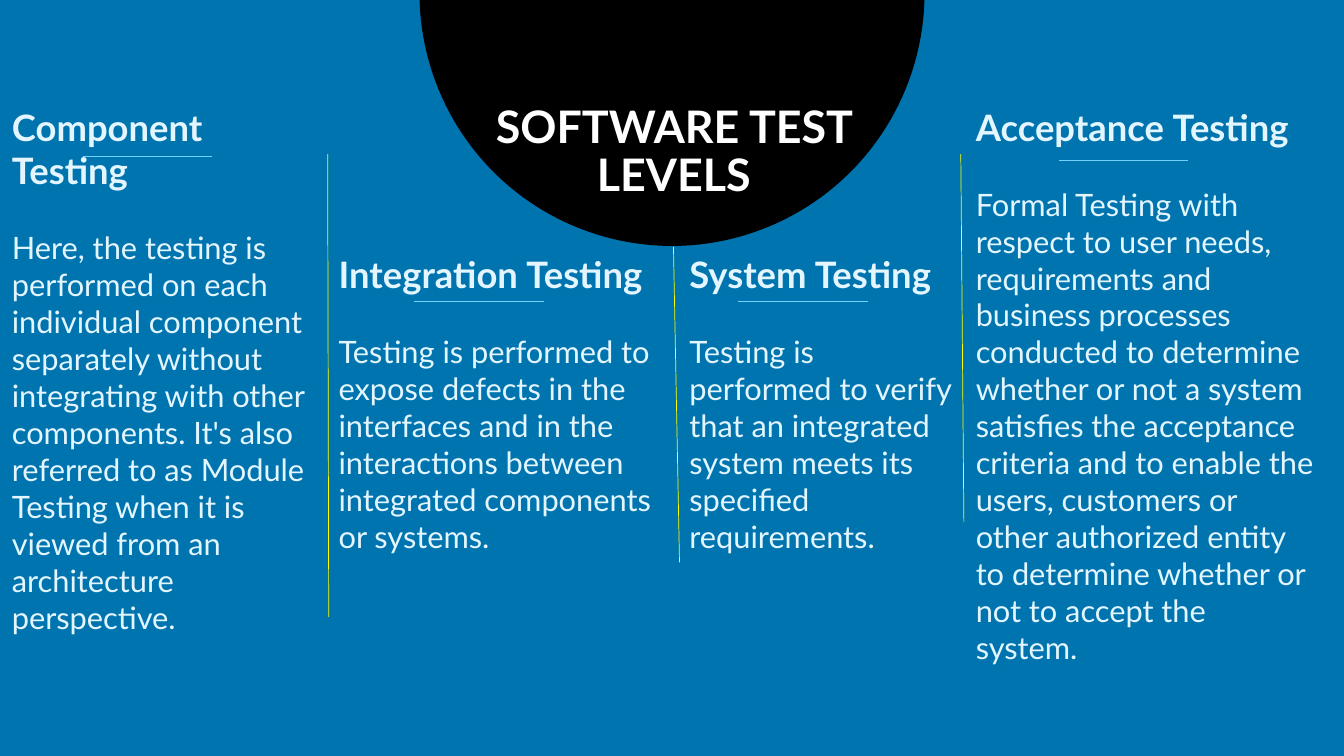
"""Build the slide on the four levels of software testing."""
from math import cos, pi, sin
from pptx import Presentation
from pptx import util as u
from pptx.dml import color
from pptx.enum import shapes, text
from pptx.oxml import ns, xmlchemy

deck = Presentation()
deck.slide_width, deck.slide_height = u.Inches(13.333), u.Inches(7.5)
page = deck.slides.add_slide(deck.slide_layouts[5])
PALE, SKY, GOLD = "E3F6FF", "75D1FF", "FFFF00"


def paint(fill, code):
    fill.solid()
    fill.fore_color.rgb = color.RGBColor.from_string(code)


def place(*spots):
    sides = deck.slide_width, deck.slide_height
    return [round(spot * sides[i % 2] / 100) for i, spot in enumerate(spots)]


paint(page.background.fill, "0074AF")

arc = [place(50 + 18.79 * cos(pi * i / 90), -0.93 + 33.47 * sin(pi * i / 90))
       for i in range(91)]
pen = page.shapes.build_freeform(*arc[0], scale=1)
pen.add_line_segments(arc[1:], close=True)
disc = pen.convert_to_shape()
disc.shadow.inherit = False
paint(disc.fill, "000000")
disc.line.fill.background()

title = page.shapes.title
disc._element.addnext(title._element)
title.left, title.top, title.width, title.height = place(32.18, 13.2, 35.93, 14.27)
frame = title.text_frame
form = {"word_wrap": True, "auto_size": text.MSO_AUTO_SIZE.NONE,
        "vertical_anchor": text.MSO_ANCHOR.TOP}
for key, value in form.items():
    setattr(frame, key, value)
para = frame.paragraphs[0]
form = {"text": "SOFTWARE TEST LEVELS", "alignment": text.PP_ALIGN.CENTER,
        "line_spacing": 0.9, "space_before": u.Pt(10)}
for key, value in form.items():
    setattr(para, key, value)
font = para.runs[0].font
for key, value in {"name": "Lato", "size": u.Pt(32), "bold": True}.items():
    setattr(font, key, value)
paint(font.fill, "FFFFFF")

levels = [
    ("Component", (0.15, 13.2, 24.38, 66.4), (6.15, 20.67),
     "Here, the testing is performed on each individual component separately "
     "without integrating with other components. It's also referred to as "
     "Module Testing when it is viewed from an architecture perspective."),
    ("Integration", (24.46, 32.67, 25.5, 41.73), (30.83, 39.87),
     "Testing is performed to expose defects in the interfaces and in the "
     "interactions between integrated components or systems."),
    ("System", (50.56, 32.67, 21.45, 36.8), (54.91, 39.87),
     "Testing is performed to verify that an integrated system meets its "
     "specified requirements."),
    ("Acceptance", (71.87, 13.2, 26.7, 71.33), (78.77, 21.2),
     "Formal Testing with respect to user needs, requirements and business "
     "processes conducted to determine whether or not a system satisfies the "
     "acceptance criteria and to enable the users, customers or other "
     "authorized entity to determine whether or not to accept the system."),
]
rules = [(GOLD, (24.38, 20.4, 24.46, 81.6)),
         (GOLD, (50.11, 32.67, 50.56, 74.4)),
         (GOLD, (71.49, 20.4, 71.72, 69.07))]

for name, area, (left, top), body in levels:
    frame = page.shapes.add_textbox(*place(*area)).text_frame
    frame.word_wrap = True
    head, note = frame.paragraphs[0], frame.add_paragraph()
    note.space_before = u.Pt(26.4)
    parts = [(head, name, 26, True), (head, " ", 24, True),
             (head, "Testing", 26, True), (note, body, 22, False)]
    for para, words, size, bold in parts:
        run = para.add_run()
        run.text = words
        form = {"name": "Lato", "size": u.Pt(size), "bold": bold}
        for key, value in form.items():
            setattr(run.font, key, value)
        paint(run.font.fill, PALE)
    rules.append((SKY, (left, top, left + 9.64, top)))

for code, ends in rules:
    rule = page.shapes.add_connector(shapes.MSO_CONNECTOR.STRAIGHT, *place(*ends))
    rule.line.width = u.Pt(0.5)
    paint(rule.line.fill, code)
    rule._element.spPr.append(xmlchemy.OxmlElement("a:effectLst"))

deck.save("out.pptx")
